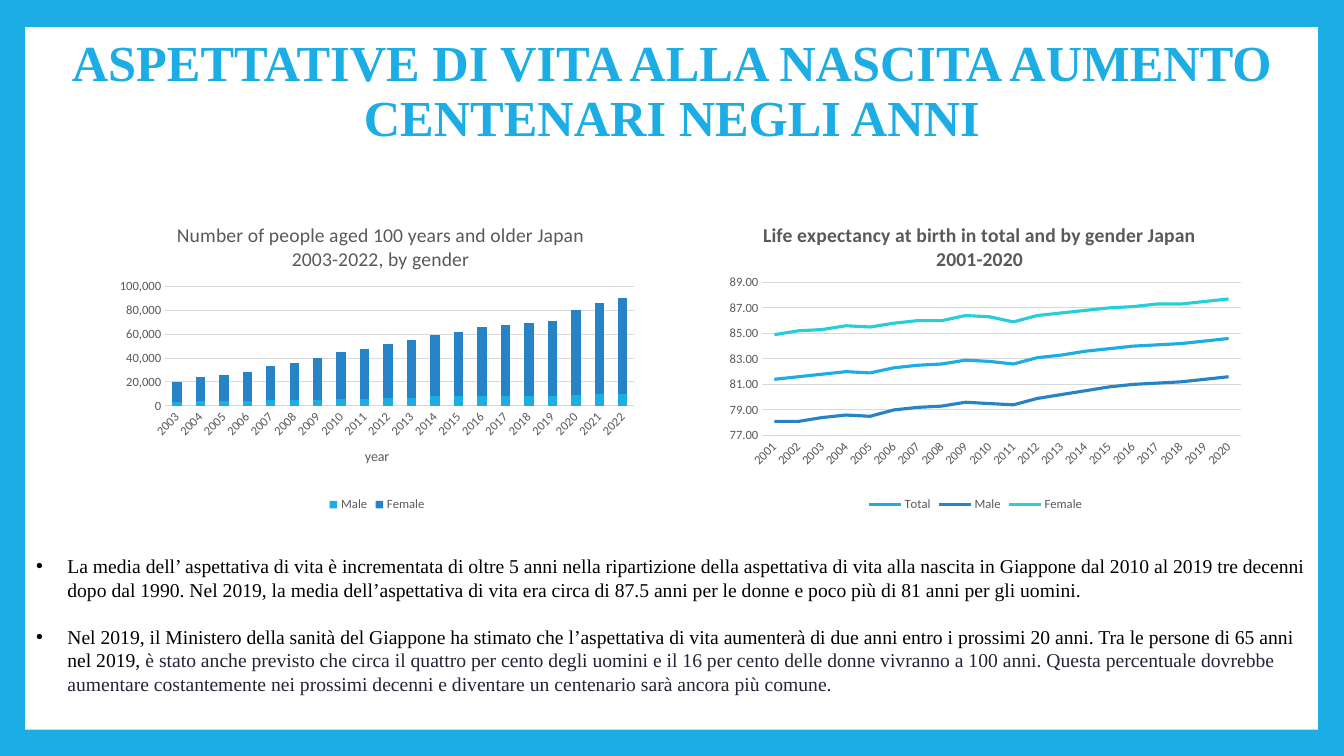
from dataclasses import dataclass

from lxml import etree
from pptx import Presentation
from pptx.chart.data import CategoryChartData
from pptx.dml.color import RGBColor
from pptx.enum.chart import XL_CHART_TYPE, XL_LEGEND_POSITION, XL_TICK_MARK
from pptx.enum.shapes import MSO_SHAPE
from pptx.enum.text import MSO_ANCHOR, PP_ALIGN
from pptx.oxml.ns import qn
from pptx.util import Inches, Pt

STACKED = XL_CHART_TYPE.COLUMN_STACKED
LINE = XL_CHART_TYPE.LINE
BOTTOM = XL_LEGEND_POSITION.BOTTOM
NO_TICK = XL_TICK_MARK.NONE
MIDDLE = MSO_ANCHOR.MIDDLE
CENTER = PP_ALIGN.CENTER
RECT = MSO_SHAPE.RECTANGLE

SERIF = "Times New Roman"
SANS = "Calibri"
COLORS = {
    "sky": "1CADE4", "blue": "2683C6", "teal": "27CED7", "white": "FFFFFF",
    "black": "000000", "ink": "242438", "gray": "595959", "grid": "D9D9D9",
}


@dataclass
class Series:
    name: str
    color: str
    values: list[float]


@dataclass
class Graph:
    kind: int
    box: tuple[float, float, float, float]
    title: str
    bold: bool
    place: tuple[float, float]
    plot: tuple[float, float, float, float]
    start: int
    low: float
    high: float
    step: float
    format: str
    series: list[Series]
    label: str = ""


GRAPHS = [
    Graph(
        STACKED, (1.08, 2, 5.32, 3.12),
        "Number of people aged 100 years and older Japan 2003-2022, by gender",
        False, (0.12, 0.05), (0.105, 0.27, 0.875, 0.38),
        2003, 0, 100000, 20000, "#,##0",
        [
            Series("Male", "sky", [1000 * n for n in (
                3, 4, 4, 4, 5, 5, 5, 6, 6, 7, 7, 8, 8, 8, 8, 8, 8, 9, 10, 10)]),
            Series("Female", "blue", [1000 * n for n in (
                17, 20, 22, 24, 28, 31, 35, 39, 42, 45,
                48, 51, 54, 58, 60, 61, 63, 71, 76, 80)]),
        ],
        "year",
    ),
    Graph(
        LINE, (6.93, 2, 5.49, 3.12),
        "Life expectancy at birth in total and by gender Japan 2001-2020",
        True, (0.11, 0.05), (0.115, 0.257, 0.864, 0.487),
        2001, 77, 89, 2, "0.00",
        [
            Series("Total", "sky", [
                81.4, 81.6, 81.8, 82, 81.9, 82.3, 82.5, 82.6, 82.9, 82.8,
                82.6, 83.1, 83.3, 83.6, 83.8, 84, 84.1, 84.2, 84.4, 84.6]),
            Series("Male", "blue", [
                78.1, 78.1, 78.4, 78.6, 78.5, 79, 79.2, 79.3, 79.6, 79.5,
                79.4, 79.9, 80.2, 80.5, 80.8, 81, 81.1, 81.2, 81.4, 81.6]),
            Series("Female", "teal", [
                84.9, 85.2, 85.3, 85.6, 85.5, 85.8, 86, 86, 86.4, 86.3,
                85.9, 86.4, 86.6, 86.8, 87, 87.1, 87.3, 87.3, 87.5, 87.7]),
        ],
    ),
]

TITLE = "ASPETTATIVE DI VITA ALLA NASCITA AUMENTO CENTENARI NEGLI ANNI"
NOTES = [
    [("La media dell’ aspettativa di vita è incrementata di oltre 5 anni nella "
      "ripartizione della aspettativa di vita alla nascita in Giappone dal 2010 "
      "al 2019 tre decenni dopo dal 1990. Nel 2019, la media dell’aspettativa di "
      "vita era circa di 87.5 anni per le donne e poco più di 81 anni per gli "
      "uomini.", "black")],
    [("Nel 2019, il Ministero della sanità del Giappone ha stimato che "
      "l’aspettativa di vita aumenterà di due anni entro i prossimi 20 anni. Tra "
      "le persone di 65 anni nel 2019, ", "black"),
     ("è stato anche previsto che circa il quattro per cento degli uomini e il "
      "16 per cento delle donne vivranno a 100 anni. Questa percentuale dovrebbe "
      "aumentare costantemente nei prossimi decenni e diventare un centenario "
      "sarà ancora più comune.", "ink")],
]


def rgb(name: str) -> RGBColor:
    return RGBColor.from_string(COLORS[name])


def style(font, size: float, color: str, face: str, bold: bool = False) -> None:
    font.size, font.name, font.bold = Pt(size), face, bold
    font.color.rgb = rgb(color)


def add_box(slide, box: tuple[float, float, float, float]):
    frame = slide.shapes.add_textbox(*map(Inches, box)).text_frame
    frame.word_wrap = True
    return frame


def pin(owner, spots: dict[str, float], inner: bool = False) -> None:
    """Fix a chart part at fractions of the chart's width and height."""
    layout = owner.find(qn("c:layout"))
    if layout is None:
        layout = etree.Element(qn("c:layout"))
        tx = owner.find(qn("c:tx"))
        owner.insert(0 if tx is None else owner.index(tx) + 1, layout)
    manual = etree.SubElement(layout, qn("c:manualLayout"))
    modes = {"layoutTarget": "inner"} if inner else {}
    modes |= {"xMode": "edge", "yMode": "edge"}
    for tag, value in (modes | spots).items():
        etree.SubElement(manual, qn(f"c:{tag}")).set("val", str(value))


def set_axes(chart, graph: Graph) -> None:
    years, scale = chart.category_axis, chart.value_axis
    for axis in (years, scale):
        axis.major_tick_mark = axis.minor_tick_mark = NO_TICK
        style(axis.tick_labels.font, 9, "gray", SANS)
    scale.has_major_gridlines = True
    for line in (years.format.line, scale.major_gridlines.format.line):
        line.color.rgb, line.width = rgb("grid"), Pt(0.75)
    scale.format.line.fill.background()
    scale.minimum_scale, scale.maximum_scale = graph.low, graph.high
    scale.major_unit = graph.step
    scale.tick_labels.number_format = graph.format
    scale.tick_labels.number_format_is_linked = False
    years._element.find(qn("c:txPr")).find(qn("a:bodyPr")).set("rot", "-2700000")
    if graph.label:
        label = years.axis_title.text_frame
        label.text = graph.label
        style(label.paragraphs[0].runs[0].font, 10, "gray", SANS)


def add_graph(slide, graph: Graph) -> None:
    data = CategoryChartData(number_format=graph.format)
    count = len(graph.series[0].values)
    data.categories = [str(graph.start + n) for n in range(count)]
    for item in graph.series:
        data.add_series(item.name, item.values)
    chart = slide.shapes.add_chart(
        graph.kind, *map(Inches, graph.box), data).chart
    style(chart.font, 10, "black", SANS)

    title = chart.chart_title
    title.text_frame.text = graph.title
    style(title.text_frame.paragraphs[0].runs[0].font, 14, "gray", SANS, graph.bold)
    pin(title._element, dict(zip("xy", graph.place)))
    pin(chart._chartSpace.chart.plotArea, dict(zip("xywh", graph.plot)), True)

    chart.has_legend = True
    chart.legend.position = BOTTOM
    chart.legend.include_in_layout = False
    style(chart.legend.font, 9, "gray", SANS)
    set_axes(chart, graph)

    plot = chart.plots[0]
    plot.vary_by_categories = False
    if graph.kind == STACKED:
        plot.gap_width, plot.overlap = 150, 100
    for series, item in zip(plot.series, graph.series):
        if graph.kind == LINE:
            series.smooth = False
            series.format.line.color.rgb = rgb(item.color)
            series.format.line.width = Pt(2.25)
        else:
            series.format.fill.solid()
            series.format.fill.fore_color.rgb = rgb(item.color)


def add_title(slide) -> None:
    frame = add_box(slide, (0.46, 0.27, 12.41, 1.3))
    frame.vertical_anchor = MIDDLE
    frame.text = TITLE
    line = frame.paragraphs[0]
    line.alignment, line.line_spacing = CENTER, 0.9
    style(line.runs[0].font, 36, "sky", SERIF, True)


def add_notes(slide) -> None:
    frame = add_box(slide, (0.26, 5.45, 12.82, 1.75))
    for index, parts in enumerate(NOTES):
        note = frame.add_paragraph() if index else frame.paragraphs[0]
        note.space_before = Pt(16.5 if index else 0)
        for text, color in parts:
            run = note.add_run()
            run.text = text
            style(run.font, 14, color, SERIF)
        props = note._p.get_or_add_pPr()
        props.set("marL", str(Inches(0.31)))
        props.set("indent", str(Inches(-0.31)))
        etree.SubElement(props, qn("a:buFont")).set("typeface", "Arial")
        etree.SubElement(props, qn("a:buChar")).set("char", "•")


def main() -> None:
    deck = Presentation()
    deck.slide_width, deck.slide_height = Inches(13.33), Inches(7.5)
    slide = deck.slides.add_slide(deck.slide_layouts[6])
    slide.background.fill.solid()
    slide.background.fill.fore_color.rgb = rgb("sky")
    panel = slide.shapes.add_shape(RECT, *map(Inches, (0.25, 0.27, 12.82, 6.97)))
    panel.shadow.inherit = False
    panel.fill.solid()
    panel.fill.fore_color.rgb = rgb("white")
    panel.line.fill.background()
    for graph in GRAPHS:
        add_graph(slide, graph)
    add_title(slide)
    add_notes(slide)
    deck.save("out.pptx")


if __name__ == "__main__":
    main()
